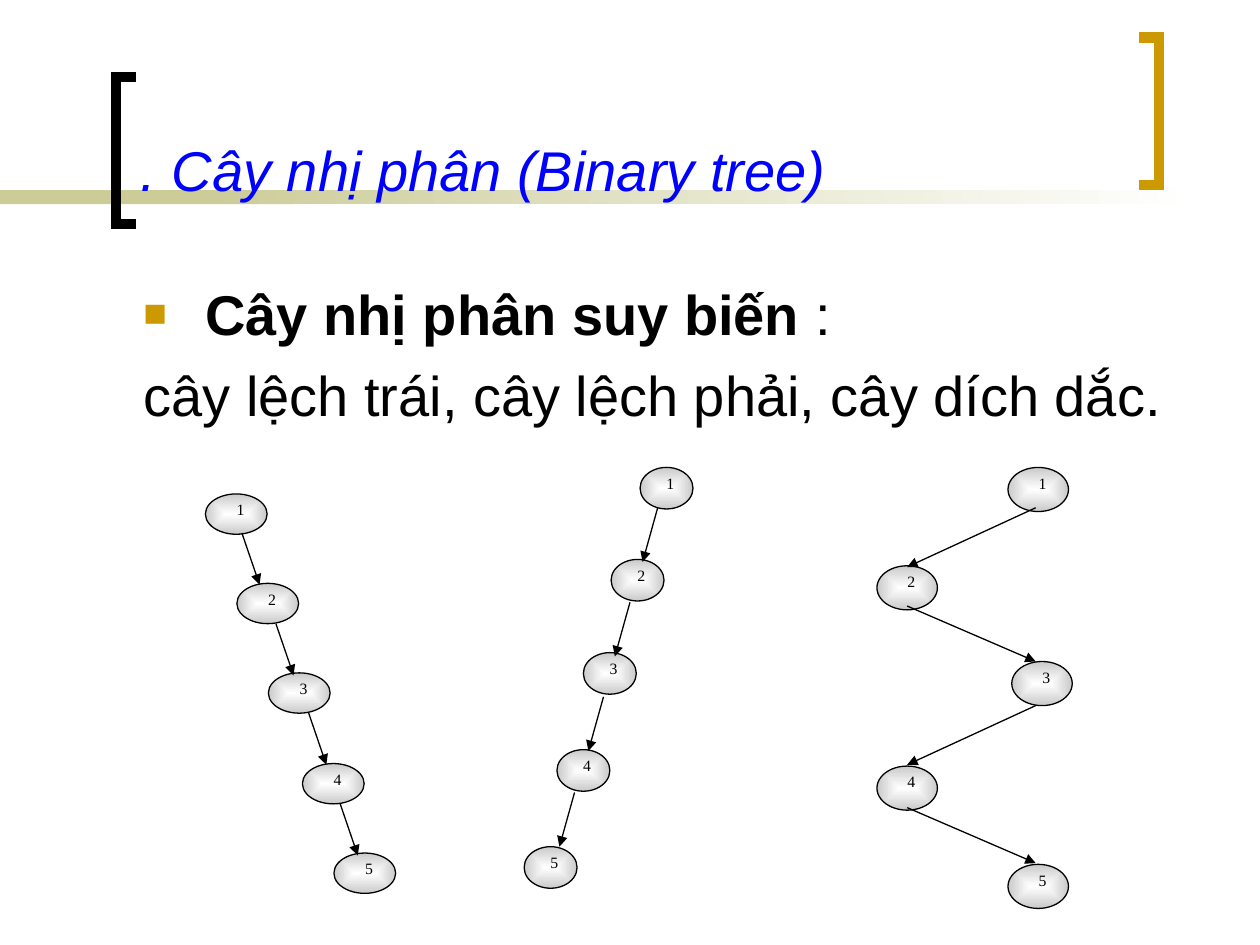
from itertools import cycle

from lxml import etree
from pptx import Presentation
from pptx.dml.color import RGBColor
from pptx.enum.shapes import MSO_CONNECTOR, MSO_SHAPE
from pptx.enum.text import MSO_ANCHOR, PP_ALIGN
from pptx.oxml.ns import qn
from pptx.util import Inches, Pt

RECT, OVAL = MSO_SHAPE.RECTANGLE, MSO_SHAPE.OVAL
STRAIGHT = MSO_CONNECTOR.STRAIGHT
BOTTOM, TOP = MSO_ANCHOR.BOTTOM, MSO_ANCHOR.TOP
LEFT, CENTER = PP_ALIGN.LEFT, PP_ALIGN.CENTER
COLORS = {"black": "000000", "white": "FFFFFF", "blue": "0000FF",
          "gold": "CC9900", "olive": "CCCC99", "gray": "CACACA"}
COLUMNS, ROWS = 100, 75
TREES = [
    {"size": (4.9, 3.2),
     "nodes": [(16.3, 39.2), (18.8, 46.3), (21.3, 53.4), (24, 60.6), (26.5, 67.7)],
     "starts": [(19.2, 42.3), (21.9, 49.5), (24.5, 56.6), (27, 63.8)],
     "steps": [(1.4, 4.1)]},
    {"size": (4.2, 3.3),
     "nodes": [(50.8, 37.1), (48.5, 44.4), (46.3, 51.8), (44.2, 59.5), (41.6, 67.2)],
     "starts": [(52.2, 40.3), (50, 47.8), (47.9, 55.3), (45.6, 62.9)],
     "steps": [(-1.2, 4.3)]},
    {"size": (4.8, 3.5),
     "nodes": [(80, 37.1), (69.6, 44.9), (80.3, 52.5), (69.6, 60.8), (80, 68.6)],
     "starts": [(82.2, 40.3), (72, 48.1), (82.2, 56), (72, 64.1)],
     "steps": [(-10.2, 4.7), (10.2, 4.4)]},
]


def rgb(name):
    """Return the named palette colour."""
    return RGBColor.from_string(COLORS[name])


class Deck:
    """Holds the style, the grid and the current slide."""

    def __init__(self, prs):
        """Start a blank slide on the grid."""
        self.cell = prs.slide_width // COLUMNS
        self.slide = prs.slides.add_slide(prs.slide_layouts[6])
        self.shapes = self.slide.shapes

    def units(self, *cells):
        """Convert grid cells to slide lengths."""
        return [round(c * self.cell) for c in cells]

    def shape(self, shapes, kind, box, colors, line=None, radial=False):
        """Add a preset shape with a plain or gradient fill."""
        sp = shapes.add_shape(kind, *self.units(*box))
        sp.shadow.inherit = False
        if len(colors) == 1:
            sp.fill.solid()
            sp.fill.fore_color.rgb = rgb(colors[0])
        else:
            sp.fill.gradient()
            sp.fill.gradient_angle = 0
            for stop, color in zip(sp.fill.gradient_stops, colors):
                stop.color.rgb = rgb(color)
        if radial:
            lin = sp._element.spPr.find(".//" + qn("a:lin"))
            grad = etree.Element(qn("a:path"), {"path": "rect"})
            etree.SubElement(grad, qn("a:fillToRect"),
                             dict.fromkeys("ltrb", "50000"))
            lin.getparent().replace(lin, grad)
        if line:
            sp.line.color.rgb = rgb(line)
            sp.line.width = Pt(0.75)
        else:
            sp.line.fill.background()

    def bracket(self, edge, tip, top, height, color):
        """Add a square bracket with its spine at the edge column."""
        x0, x1, y0, y1 = self.units(tip, edge, top, top + height)
        builder = self.shapes.build_freeform(x0, y0)
        builder.add_line_segments([(x1, y0), (x1, y1), (x0, y1)], close=False)
        sp = builder.convert_to_shape()
        sp.shadow.inherit = False
        sp.fill.background()
        sp.line.color.rgb = rgb(color)
        sp.line.width = Pt(6)
        etree.SubElement(sp.line._ln, qn("a:miter"), {"lim": "800000"})

    def arrow(self, shapes, start, step):
        """Add a thin arrow from a start point along a step."""
        end = [a + b for a, b in zip(start, step)]
        cx = shapes.add_connector(STRAIGHT, *self.units(*start, *end))
        cx.line.color.rgb = rgb("black")
        cx.line.width = Pt(0.75)
        etree.SubElement(cx.line._ln, qn("a:tailEnd"), {"type": "triangle"})
        etree.SubElement(cx._element.spPr, qn("a:effectLst"))

    def text(self, shapes, box, lines, size, font="Arial", color="black",
             align=LEFT, anchor=TOP):
        """Add a wrapped text box and return its paragraphs."""
        tf = shapes.add_textbox(*self.units(*box)).text_frame
        tf.word_wrap = True
        tf.vertical_anchor = anchor
        tf.text = "\n".join(lines)
        for p in tf.paragraphs:
            p.alignment = align
            for r in p.runs:
                self.style(r, size, font, color)
        return tf.paragraphs

    def style(self, r, size, font="Arial", color="black"):
        """Set the font of a run."""
        r.font.size = Pt(size)
        r.font.name = font
        r.font.color.rgb = rgb(color)

    def bullet(self, p, indent):
        """Give a paragraph a gold square bullet and a hanging indent."""
        pPr = p._p.get_or_add_pPr()
        pPr.set("marL", str(Inches(indent)))
        pPr.set("indent", str(-Inches(indent)))
        color = etree.SubElement(pPr, qn("a:buClr"))
        etree.SubElement(color, qn("a:srgbClr"), {"val": COLORS["gold"]})
        etree.SubElement(pPr, qn("a:buSzPct"), {"val": "70000"})
        etree.SubElement(pPr, qn("a:buFont"), {"typeface": "Arial"})
        etree.SubElement(pPr, qn("a:buChar"), {"char": "■"})

    def tree(self, size, nodes, starts, steps):
        """Add a grouped chain of numbered nodes joined by arrows."""
        shapes = self.shapes.add_group_shape().shapes
        w, h = size
        for number, (x, y) in enumerate(nodes, 1):
            self.shape(shapes, OVAL, (x, y, w, h), ["white", "gray"],
                       line="black", radial=True)
            self.text(shapes, (x - 0.26 * w, y, 1.66 * w, 1.1 * h),
                      [str(number)], 9, "Times New Roman", align=CENTER)
        for start, step in zip(starts, cycle(steps)):
            self.arrow(shapes, start, step)


def main():
    """Build the slide on degenerate binary trees."""
    prs = Presentation()
    prs.slide_width, prs.slide_height = Inches(10), Inches(7.5)
    deck = Deck(prs)

    deck.shape(deck.shapes, RECT, (0, 15.1, 23.3, 1.1), ["olive"])
    deck.shape(deck.shapes, RECT, (15.8, 15.1, 79.2, 1.1), ["olive", "white"])
    deck.bracket(9.2, 10.8, 6.1, 11.7, "black")
    deck.bracket(92, 90.4, 3, 11.7, "gold")

    title, = deck.text(deck.shapes, (10.2, 1.1, 78.3, 15.5),
                       [". Cây nhị phân (Binary tree)"], 32,
                       color="blue", anchor=BOTTOM)
    title.runs[0].font.italic = True

    head, kinds = deck.text(deck.shapes, (10.4, 21.7, 83.8, 15.8),
                            ["Cây nhị phân suy biến",
                             "cây lệch trái, cây lệch phải, cây dích dắc."], 32)
    deck.bullet(head, 0.49)
    head.runs[0].font.bold = True
    colon = head.add_run()
    colon.text = " :"
    deck.style(colon, 32)
    kinds.space_before = Pt(8)

    for tree in TREES:
        deck.tree(**tree)
    prs.save("out.pptx")


if __name__ == "__main__":
    main()
